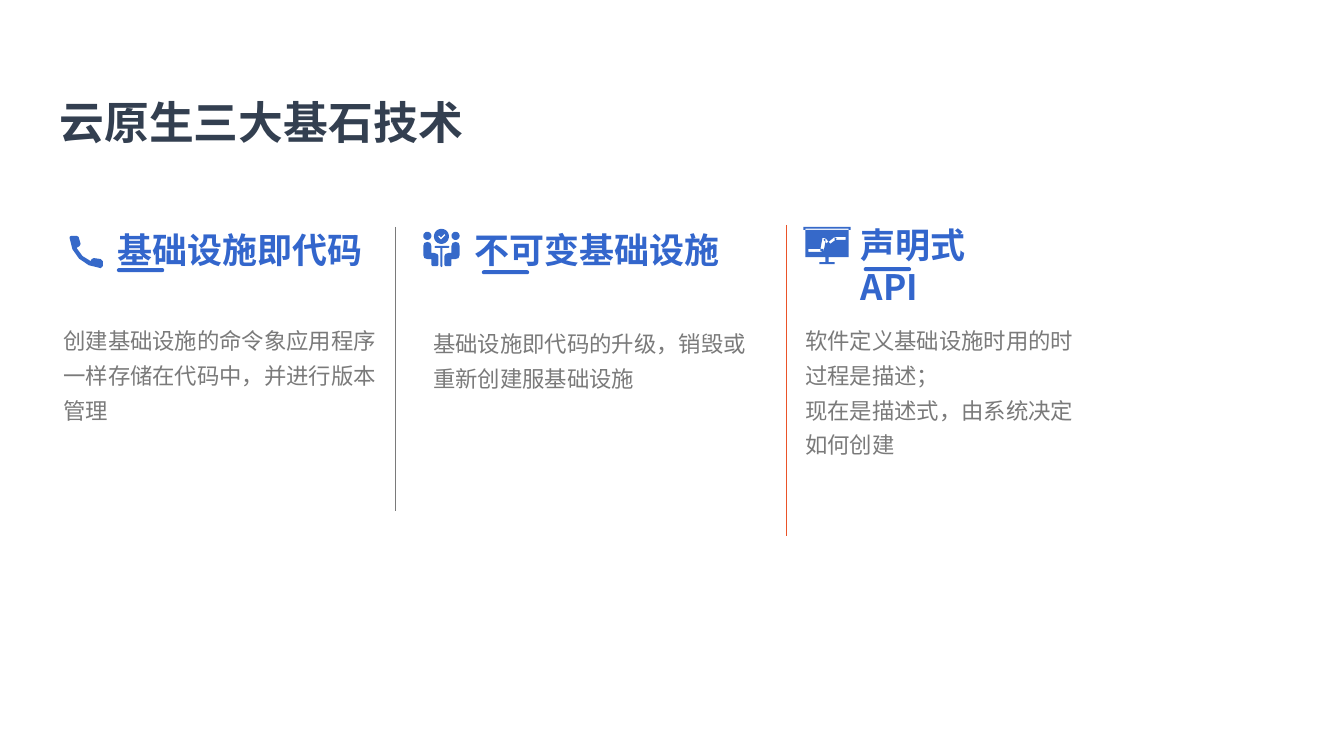
import math
from lxml import etree
from pptx import Presentation
from pptx.dml.color import RGBColor
from pptx.enum import shapes, text
from pptx.oxml.ns import qn
from pptx.util import Pt

FONT = "Noto Sans CJK SC"
COLORS = {"title": "333F50", "body": "7A7A7A", "heading": "3366CC",
          "icon": "3669C9", "gray": "7A7A7A", "orange": "EA5429"}


def write(tf, content, size, color, bold=False, spacing=1.0):
    tf.text = content
    for p in tf.paragraphs:
        p.alignment = text.PP_ALIGN.LEFT
        p.line_spacing = spacing
        for r in p.runs:
            r.font.name = FONT
            r.font.size = Pt(size)
            r.font.bold = bold
            r.font.color.rgb = RGBColor.from_string(COLORS[color])
            etree.SubElement(r.font._element, qn("a:ea"), typeface=FONT)


def circle(cx, cy, radius):
    angles = [math.tau * i / 24 for i in range(24)]
    return [(cx + radius * math.cos(a), cy + radius * math.sin(a)) for a in angles]


prs = Presentation()
prs.slide_width, prs.slide_height = Pt(960), Pt(540)
s = prs.slides.add_slide(prs.slide_layouts[5])

title = s.shapes.title
title.left, title.top, title.width, title.height = Pt(38.2), Pt(64.1), Pt(654.5), Pt(45.4)
tf = title.text_frame
tf.margin_left = tf.margin_right = tf.margin_top = tf.margin_bottom = Pt(4.3)
tf.auto_size = text.MSO_AUTO_SIZE.NONE
tf.vertical_anchor = text.MSO_ANCHOR.MIDDLE
write(tf, "云原生三大基石技术", 32, "title", True)

bodies = [
    ("创建基础设施的命令象应用程序一样存储在代码中，并进行版本管理", 38.2, 208.1, 237.6, 114.5, 3.6),
    ("基础设施即代码的升级，销毁或重新创建服基础设施", 302.4, 208.1, 252.7, 93.6, 3.6),
    ("软件定义基础设施时用的时过程是描述；\n现在是描述式，由系统决定如何创建", 568.1, 231.8, 208.8, 116.6, 28.6),
]
for content, left, top, width, height, bottom in bodies:
    tf = s.shapes.add_textbox(Pt(left), Pt(top), Pt(width), Pt(height)).text_frame
    tf.word_wrap = True
    tf.vertical_anchor = text.MSO_ANCHOR.MIDDLE
    tf.margin_bottom = Pt(bottom)
    write(tf, content, 16, "body", spacing=1.3)

for x, top, bottom, color in [(282.2, 162, 365, "gray"), (561.6, 160.6, 383, "orange")]:
    divider = s.shapes.add_connector(shapes.MSO_CONNECTOR.STRAIGHT, Pt(x), Pt(top), Pt(x), Pt(bottom))
    divider.line.color.rgb = RGBColor.from_string(COLORS[color])
    divider.line.width = Pt(0.5)
    etree.SubElement(divider._element.spPr, qn("a:effectLst"))

headings = [
    ("基础设施即代码", 72.7, 159.8, 197.3, 7.2, text.PP_ALIGN.CENTER, 83.5, 191.5),
    ("不可变基础设施", 331.9, 159.8, 217.4, 7.2, text.PP_ALIGN.LEFT, 344.2, 193),
    ("声明式API", 607.7, 156.2, 133.9, 20, text.PP_ALIGN.LEFT, 617, 190.8),
]
for content, left, top, width, right, align, bar_left, bar_top in headings:
    tf = s.shapes.add_textbox(Pt(left), Pt(top), Pt(width), Pt(37.4)).text_frame
    tf.word_wrap = True
    tf.auto_size = text.MSO_AUTO_SIZE.SHAPE_TO_FIT_TEXT
    tf.margin_right = Pt(right)
    write(tf, content, 25, "heading", True)
    tf.paragraphs[0].alignment = align

    bar = s.shapes.add_shape(shapes.MSO_SHAPE.ROUNDED_RECTANGLE,
                             Pt(bar_left), Pt(bar_top), Pt(33.8), Pt(2.9))
    bar.adjustments[0] = 0.5
    bar.shadow.inherit = False
    bar.fill.solid()
    bar.fill.fore_color.rgb = RGBColor.from_string(COLORS["heading"])
    bar.line.fill.background()

phone = [[
    (90, 259), (91, 257), (93, 256), (100, 257), (102, 259), (102, 264), (100, 266),
    (88.1, 263.1), (78.5, 256.6), (71.9, 247.3), (69, 236), (69.5, 234.5), (71, 234),
    (76, 234), (78, 235), (80, 242), (79, 244), (76, 246), (81.9, 254),
]]

axis = 438
person = [(424, 240), (427, 241), (428, 244), (428, 251), (431, 251), (434, 252), (435, 254),
          (435, 263), (434, 264), (429, 264), (428, 263), (428, 257), (424, 257),
          (421, 256), (420, 253), (420, 244), (421, 241)]
team = [
    circle(axis, 234.5, 7.5),
    [(441, 232), (437.5, 235.5), (435.5, 233.5), (434.5, 234.5), (437.5, 237.7), (442, 233.2)],
    [(432, 244), (445, 244), (446, 245), (445, 246), (439, 246), (439, 264),
     (438, 265), (437, 264), (437, 246), (432, 246), (431, 245)],
    person, [(2 * axis - x, y) for x, y in person],
    circle(424, 234, 4), circle(2 * axis - 424, 234, 4),
]

board = [
    [(797, 225), (844, 225), (844, 228), (842, 228), (842, 227), (799, 227), (799, 228), (797, 228)],
    [(799, 228), (842, 228), (842, 255), (822, 255), (822, 260), (819, 260), (819, 255), (799, 255)],
    [(813, 260), (828, 260), (828, 262), (813, 262)],
    [(828, 235), (822, 240), (819, 236), (816, 236), (814, 247), (802, 247), (802, 250),
     (817, 250), (819, 240), (821, 244), (829, 238), (839, 238), (839, 235)],
    [(814, 247), (817, 247), (817, 250), (814, 249)],
    [(822, 240), (824, 242), (821, 244), (820, 241)],
    [(819, 236), (819, 240), (817, 238)],
    [(828, 235), (830, 237), (829, 238), (828, 238)],
]

for icon in (phone, team, board):
    contours = [[(x * 10, y * 10) for x, y in contour] for contour in icon]
    builder = s.shapes.build_freeform(*contours[0][0], scale=Pt(0.72) / 10)
    builder.add_line_segments(contours[0][1:])
    for contour in contours[1:]:
        builder.move_to(*contour[0])
        builder.add_line_segments(contour[1:])
    sp = builder.convert_to_shape()
    sp.shadow.inherit = False
    sp.fill.solid()
    sp.fill.fore_color.rgb = RGBColor.from_string(COLORS["icon"])
    sp.line.fill.background()

prs.save("out.pptx")
